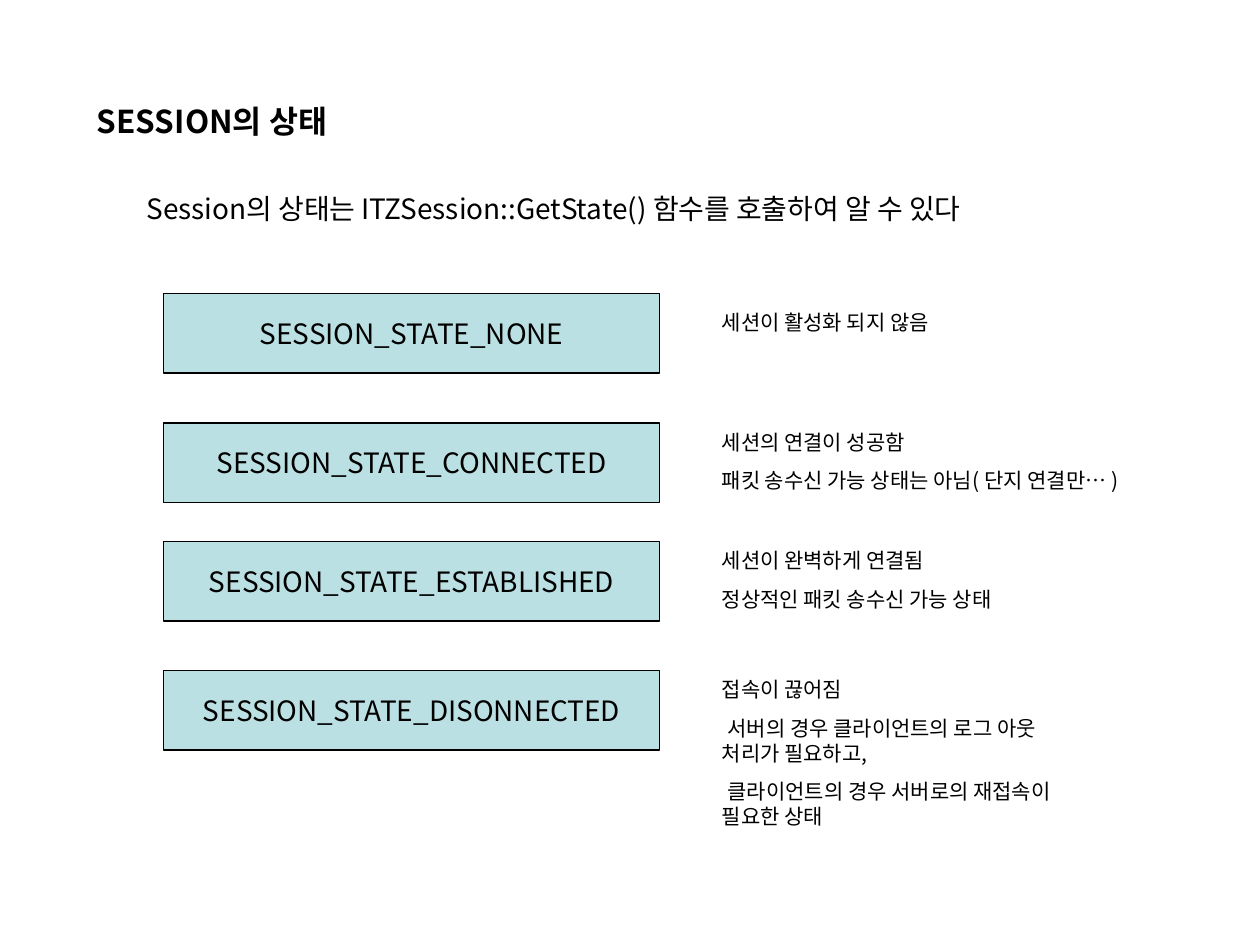
from dataclasses import dataclass
from lxml.etree import SubElement
from pptx import Presentation
from pptx.dml.color import RGBColor
from pptx.enum.shapes import MSO_SHAPE
from pptx.enum.text import MSO_ANCHOR, MSO_AUTO_SIZE, PP_ALIGN
from pptx.oxml.ns import qn
from pptx.util import Cm, Pt


@dataclass(frozen=True)
class Theme:
    font: str = "Noto Sans CJK KR"
    ink: RGBColor = RGBColor(0, 0, 0)
    box: RGBColor = RGBColor(0xBB, 0xE0, 0xE3)
    title: Pt = Pt(18)
    body: Pt = Pt(16)
    note: Pt = Pt(12)


theme = Theme()


def write(shape, lines, size, bold=False, align=PP_ALIGN.LEFT, anchor=MSO_ANCHOR.TOP, wrap=True):
    tf = shape.text_frame
    tf.text = "\n".join(lines)
    tf.auto_size = MSO_AUTO_SIZE.NONE
    tf.word_wrap = wrap
    tf.vertical_anchor = anchor
    for i, p in enumerate(tf.paragraphs):
        p.alignment = align
        p.space_before = Pt(7.5 if i else 0)
        for r in p.runs:
            r.font.name = theme.font
            r.font.size = size
            r.font.bold = bold
            r.font.color.rgb = theme.ink
            SubElement(r.font._element, qn("a:ea")).set("typeface", theme.font)


def place(shape, left, top, width, height):
    shape.left, shape.top, shape.width, shape.height = Cm(left), Cm(top), Cm(width), Cm(height)


prs = Presentation()
prs.slide_width, prs.slide_height = Cm(25.4), Cm(19.05)
s = prs.slides.add_slide(prs.slide_layouts[1])

title, intro = s.placeholders
place(title, 1.7, 1.93, 8.2, 1.02)
write(title, ["SESSION의 상태"], theme.title, bold=True)

place(intro, 2.7, 3.73, 18.6, 0.94)
write(intro, ["Session의 상태는 ITZSession::GetState() 함수를 호출하여 알 수 있다"], theme.body)
pPr = intro.text_frame.paragraphs[0]._p.get_or_add_pPr()
pPr.set("marL", "0")
pPr.set("indent", "0")
SubElement(pPr, qn("a:buNone"))

states = [
    ("SESSION_STATE_NONE", 5.92, 0.2, 8, 0.77, ["세션이 활성화 되지 않음"]),
    ("SESSION_STATE_CONNECTED", 8.53, 0, 9.8, 1.55,
     ["세션의 연결이 성공함", "패킷 송수신 가능 상태는 아님( 단지 연결만… )"]),
    ("SESSION_STATE_ESTABLISHED", 10.92, 0, 8, 1.55,
     ["세션이 완벽하게 연결됨", "정상적인 패킷 송수신 가능 상태"]),
    ("SESSION_STATE_DISONNECTED", 13.52, 0, 8, 3.33,
     ["접속이 끊어짐", "서버의 경우 클라이언트의 로그 아웃 처리가 필요하고,",
      "클라이언트의 경우 서버로의 재접속이 필요한 상태"]),
]
for name, top, drop, width, height, lines in states:
    box = s.shapes.add_shape(MSO_SHAPE.RECTANGLE, Cm(3.3), Cm(top), Cm(10), Cm(1.6))
    box.shadow.inherit = False
    box.fill.solid()
    box.fill.fore_color.rgb = theme.box
    box.line.color.rgb = theme.ink
    box.line.width = Pt(0.75)
    write(box, [name], theme.body, align=PP_ALIGN.CENTER, anchor=MSO_ANCHOR.MIDDLE, wrap=False)

    note = s.shapes.add_textbox(Cm(14.3), Cm(top + drop), Cm(width), Cm(height))
    write(note, lines, theme.note)

for p in note.text_frame.paragraphs[1:]:
    p._p.get_or_add_pPr().set("indent", str(Cm(0.12)))

prs.save("out.pptx")
